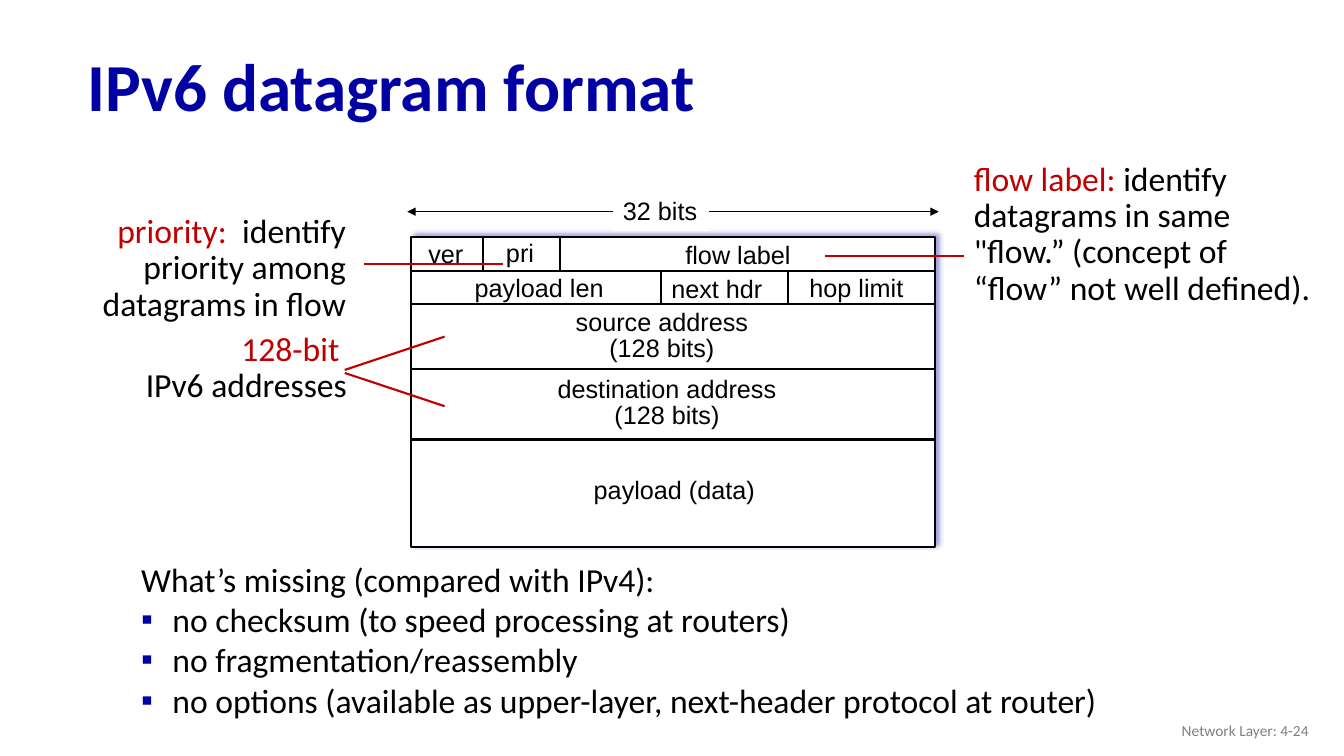
from lxml.etree import SubElement
from pptx import Presentation
from pptx.dml.color import RGBColor
from pptx.enum.shapes import MSO_CONNECTOR, MSO_SHAPE
from pptx.enum.text import MSO_ANCHOR, MSO_AUTO_SIZE, PP_ALIGN
from pptx.oxml import parse_xml
from pptx.oxml.ns import nsdecls, qn
from pptx.util import Inches, Pt

BLACK = RGBColor(0, 0, 0)
WHITE = RGBColor(0xFF, 0xFF, 0xFF)
NAVY = RGBColor(0, 0, 0xA3)
RED = RGBColor(0xC0, 0, 0)
GRAY = RGBColor(0x80, 0x80, 0x80)
LEFT, MID, RIGHT = PP_ALIGN.LEFT, PP_ALIGN.CENTER, PP_ALIGN.RIGHT


def write(shape, lines, font="Calibri", size=24, color=BLACK, bold=False,
          align=LEFT, space=1.0, wrap=True, anchor=MSO_ANCHOR.TOP):
    """Fill a shape with lines; a line is a string or a list of (text, color)."""
    frame = shape.text_frame
    frame.auto_size = MSO_AUTO_SIZE.NONE
    frame.word_wrap = wrap
    frame.vertical_anchor = anchor
    for i, line in enumerate(lines):
        para = frame.add_paragraph() if i else frame.paragraphs[0]
        para.alignment, para.line_spacing = align, space
        para.space_before = Pt(0)
        for text, hue in [(line, color)] if isinstance(line, str) else line:
            run = para.add_run()
            run.text = text
            run.font.name, run.font.size = font, Pt(size)
            run.font.bold, run.font.color.rgb = bold, hue
    return shape


class Deck:
    """Hold the style and the current slide."""

    def __init__(self):
        """Start a wide deck with one title and list slide."""
        self.show = Presentation()
        self.show.slide_width = Inches(13.33)
        self.show.slide_height = Inches(7.5)
        self.slide = self.show.slides.add_slide(self.show.slide_layouts[1])
        self.shapes = self.slide.shapes

    def place(self, shape, box):
        """Move a shape to a box of left, top, width and height."""
        shape.left, shape.top, shape.width, shape.height = map(Inches, box)
        return shape

    def title(self, text, box):
        """Set the slide title."""
        write(self.place(self.shapes.title, box), [text], size=48, color=NAVY,
              bold=True, space=0.9, anchor=MSO_ANCHOR.MIDDLE)

    def list(self, head, items, box):
        """Set a plain heading and square bullets in the body."""
        body = write(self.place(self.slide.placeholders[1], box), [head, *items])
        for i, para in enumerate(body.text_frame.paragraphs):
            props = para._p.get_or_add_pPr()
            dent = Inches(0.31) if i else 0
            props.set("marL", str(dent))
            props.set("indent", str(-dent))
            if i:
                tint = SubElement(props, qn("a:buClr"))
                SubElement(tint, qn("a:srgbClr"), val=str(NAVY))
                SubElement(props, qn("a:buFont"), typeface="Arial")
                SubElement(props, qn("a:buChar"), char="▪")
            else:
                SubElement(props, qn("a:buNone"))

    def text(self, lines, box, **form):
        """Add a text box."""
        return write(self.shapes.add_textbox(*map(Inches, box)), lines, **form)

    def label(self, lines, box, **form):
        """Add a field label that does not wrap."""
        return self.text(lines, box, font="Arial", size=18, wrap=False, **form)

    def rect(self, box, line=None, glow=False):
        """Add a white box, with an outline and soft shadow on request."""
        rect = self.shapes.add_shape(MSO_SHAPE.RECTANGLE, *map(Inches, box))
        rect.shadow.inherit = False
        rect.fill.solid()
        rect.fill.fore_color.rgb = WHITE
        if line:
            rect.line.color.rgb, rect.line.width = line, Pt(1.5)
        else:
            rect.line.fill.background()
        if glow:
            rect._element.spPr.find(qn("a:effectLst")).append(parse_xml(
                f'<a:outerShdw {nsdecls("a")} blurRad="{Pt(4)}" dist="{Pt(3)}" '
                f'dir="18900000" algn="bl" rotWithShape="0"><a:srgbClr val="{NAVY}">'
                '<a:alpha val="40000"/></a:srgbClr></a:outerShdw>'))
        return rect

    def line(self, *ends, color=BLACK, width=1.5, heads=False):
        """Add a line from x, y to x, y, with two arrowheads on request."""
        line = self.shapes.add_connector(MSO_CONNECTOR.STRAIGHT, *map(Inches, ends))
        line.line.color.rgb, line.line.width = color, Pt(width)
        if heads:
            for end in ("a:headEnd", "a:tailEnd"):
                SubElement(line.line._get_or_add_ln(), qn(end), type="triangle")
        SubElement(line._element.spPr, qn("a:effectLst"))


deck = Deck()
deck.title("IPv6 datagram format", (0.77, 0.31, 11.5, 1.17))

# Datagram frame, rows and field breaks
LEFT_X, TOP, WIDE = 4.08, 2.35, 5.19
ROW_1, ROW_2 = 2.69, 3.02
deck.rect((LEFT_X, TOP, WIDE, 3.08), line=BLACK, glow=True)
for y in (ROW_1, ROW_2, 3.66, 4.36):
    deck.line(LEFT_X, y, LEFT_X + WIDE, y)
for x, top, base in ((4.79, TOP, ROW_1), (5.55, TOP, ROW_1),
                     (6.56, ROW_1, ROW_2), (7.82, ROW_1, ROW_2)):
    deck.line(x, top, x, base)

# Field names
for name, x, y, wide in (
        ("ver", 4.15, 2.32, 0.55), ("pri", 4.92, 2.31, 0.48),
        ("flow label", 6.7, 2.33, 1.24), ("payload len", 4.61, 2.65, 1.48),
        ("next hdr", 6.56, 2.66, 1.1), ("hop limit", 7.93, 2.65, 1.13),
        ("payload (data)", 5.79, 4.66, 1.81)):
    deck.label([name], (x, y, wide, 0.4))
for name, x, y, wide in (("source", 5.61, 3.04, 1.91),
                         ("destination", 5.43, 3.7, 2.37)):
    deck.label([f"{name} address", "(128 bits)"], (x, y, wide, 0.61),
               align=MID, space=0.85)

# Width arrow
deck.line(4.04, 2.1, 9.31, 2.1, width=0.75, heads=True)
write(deck.rect((6.08, 1.89, 0.95, 0.4)), ["32 bits"], font="Arial", size=18,
      wrap=False)

# Side notes and their pointers
for lines, box, align in (
        ([[("priority:  ", RED),
           ("identify priority among datagrams in flow", BLACK)]],
         (0.17, 2.08, 3.36, 1.19), RIGHT),
        ([[("flow label: ", RED),
           ('identify datagrams in same "flow.” (concept of “flow” '
            "not well defined).", BLACK)]],
         (9.56, 1.56, 3.54, 1.56), LEFT),
        ([[("128-bit ", RED)], "IPv6 addresses"], (0, 3.25, 3.54, 0.83), RIGHT)):
    deck.text(lines, box, align=align, space=0.9)
for ends in ((3.61, 2.62, 4.99, 2.62), (8.18, 2.54, 9.56, 2.54),
             (3.42, 3.7, 4.41, 4.03), (3.42, 3.67, 4.41, 3.34)):
    deck.line(*ends, color=RED)

deck.list("What’s missing (compared with IPv4):",
          ["no checksum (to speed processing at routers)",
           "no fragmentation/reassembly",
           "no options (available as upper-layer, next-header protocol at router)"],
          (1.3, 5.49, 9.81, 1.72))
deck.text(["Network Layer: 4-24"], (10.08, 7.05, 3, 0.4), size=11, color=GRAY,
          align=RIGHT, anchor=MSO_ANCHOR.MIDDLE)

deck.show.save("out.pptx")
